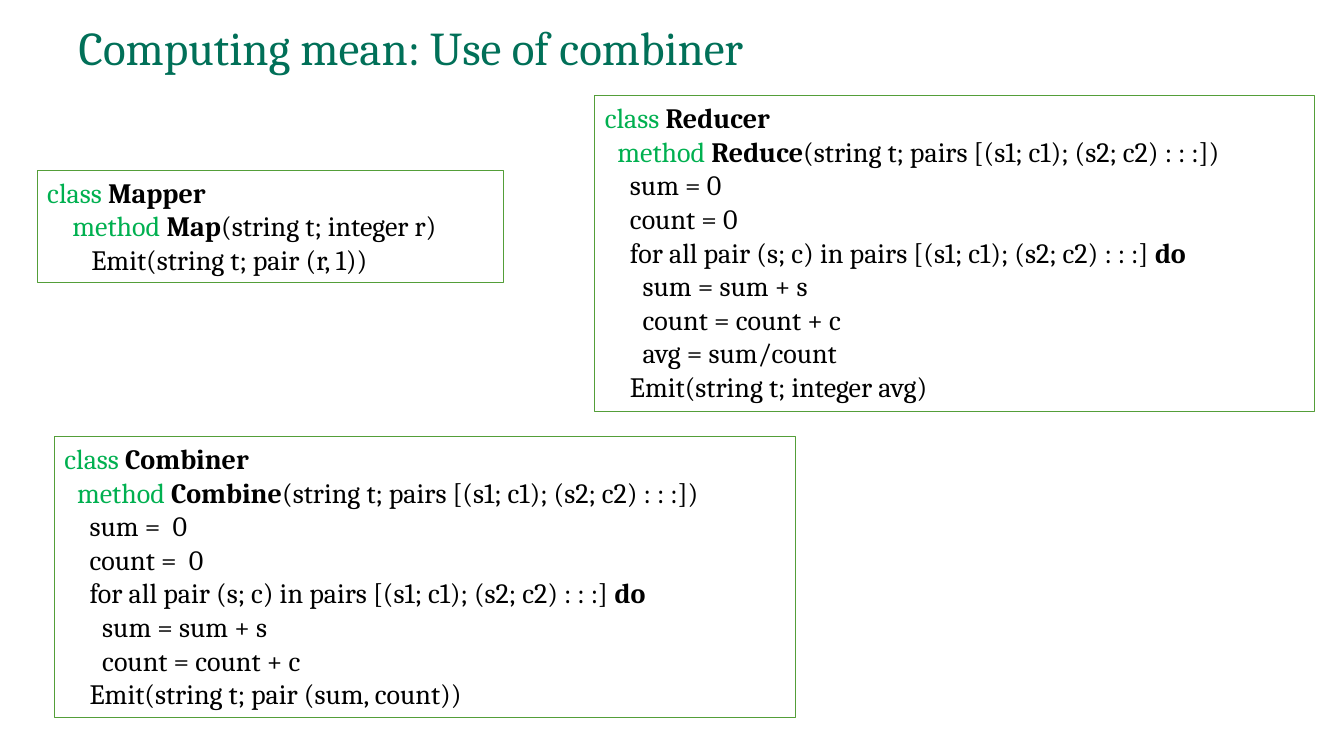
"""Build a slide on computing a mean with a combiner."""
from dataclasses import dataclass

from pptx import Presentation
from pptx.dml.color import RGBColor
from pptx.enum.shapes import MSO_SHAPE
from pptx.enum.text import MSO_ANCHOR, MSO_AUTO_SIZE, PP_ALIGN
from pptx.util import Inches, Pt

RECT = MSO_SHAPE.RECTANGLE
LEFT = PP_ALIGN.LEFT
TOP, MIDDLE = MSO_ANCHOR.TOP, MSO_ANCHOR.MIDDLE
NO_FIT = MSO_AUTO_SIZE.NONE
TITLE_ONLY = 5


@dataclass(frozen=True)
class Theme:
    """Colours, font and type sizes."""
    font: str = "Cambria"
    title: RGBColor = RGBColor(0x01, 0x70, 0x58)
    keyword: RGBColor = RGBColor(0x00, 0xB0, 0x50)
    text: RGBColor = RGBColor(0x00, 0x00, 0x00)
    border: RGBColor = RGBColor(0x54, 0x9E, 0x39)
    title_size: float = 33.6
    code_size: float = 20
    border_width: float = 0.75
    indent: float = 0.0625


class SlideBuilder:
    """Draws styled elements on one slide."""

    def __init__(self, s, theme):
        self.s = s
        self.theme = theme

    def style(self, r, size, color, bold=False):
        r.font.name = self.theme.font
        r.font.size = Pt(size)
        r.font.color.rgb = color
        r.font.bold = bold

    def title(self, text, x, y, w, h):
        sp = self.s.shapes.title
        sp.left, sp.top, sp.width, sp.height = map(Inches, (x, y, w, h))
        tf = sp.text_frame
        tf.text = text
        tf.auto_size = NO_FIT
        tf.vertical_anchor = MIDDLE
        p = tf.paragraphs[0]
        p.alignment = LEFT
        p.line_spacing = 0.9
        self.style(p.runs[0], self.theme.title_size, self.theme.title)

    def code_box(self, lines, x, y, w, h):
        sp = self.s.shapes.add_shape(RECT, *map(Inches, (x, y, w, h)))
        sp.shadow.inherit = False
        sp.fill.background()
        sp.line.color.rgb = self.theme.border
        sp.line.width = Pt(self.theme.border_width)
        tf = sp.text_frame
        tf.word_wrap = True
        tf.vertical_anchor = TOP
        for i, (depth, runs) in enumerate(lines):
            p = tf.paragraphs[0] if i == 0 else tf.add_paragraph()
            p.alignment = LEFT
            margin = Inches(depth * self.theme.indent)
            p._p.get_or_add_pPr().set("marL", str(margin))
            for text, kind in runs:
                r = p.add_run()
                r.text = text
                color = self.theme.keyword if kind == "keyword" else self.theme.text
                self.style(r, self.theme.code_size, color, kind == "bold")


def plain(depth, text):
    """Return one unstyled code line."""
    return depth, [(text, "plain")]


def listing(class_name, method, arguments, body, method_depth=2):
    """Return a class heading, a method heading and the body lines."""
    return [
        (0, [("class ", "keyword"), (class_name, "bold")]),
        (method_depth, [("method ", "keyword"), (method, "bold"), (arguments, "plain")]),
        *body,
    ]


def summing(zero):
    """Return the lines that add up the sums and counts."""
    return [
        plain(4, f"sum = {zero}"),
        plain(4, f"count = {zero}"),
        (4, [(f"for all pair (s; c) in {PAIRS} ", "plain"), ("do", "bold")]),
        plain(6, "sum = sum + s"),
        plain(6, "count = count + c"),
    ]


PAIRS = "pairs [(s1; c1); (s2; c2) : : :]"
PAIR_ARGUMENTS = f"(string t; {PAIRS})"
REDUCER = listing("Reducer", "Reduce", PAIR_ARGUMENTS, summing("0") + [
    plain(6, "avg = sum/count"),
    plain(4, "Emit(string t; integer avg)"),
])
MAPPER = listing("Mapper", "Map", "(string t; integer r)", [
    plain(7, "Emit(string t; pair (r, 1))"),
], method_depth=4)
COMBINER = listing("Combiner", "Combine", PAIR_ARGUMENTS, summing(" 0") + [
    plain(4, "Emit(string t; pair (sum, count))"),
])


def main():
    prs = Presentation()
    prs.slide_width, prs.slide_height = Inches(13.33), Inches(7.5)
    s = prs.slides.add_slide(prs.slide_layouts[TITLE_ONLY])
    builder = SlideBuilder(s, Theme())
    builder.title("Computing mean: Use of combiner", 0.68, 0.18, 11.5, 0.63)
    builder.code_box(REDUCER, 5.9, 0.95, 7.14, 3.13)
    builder.code_box(MAPPER, 0.37, 1.69, 4.62, 1.11)
    builder.code_box(COMBINER, 0.54, 4.33, 7.35, 2.79)
    prs.save("out.pptx")


if __name__ == "__main__":
    main()
